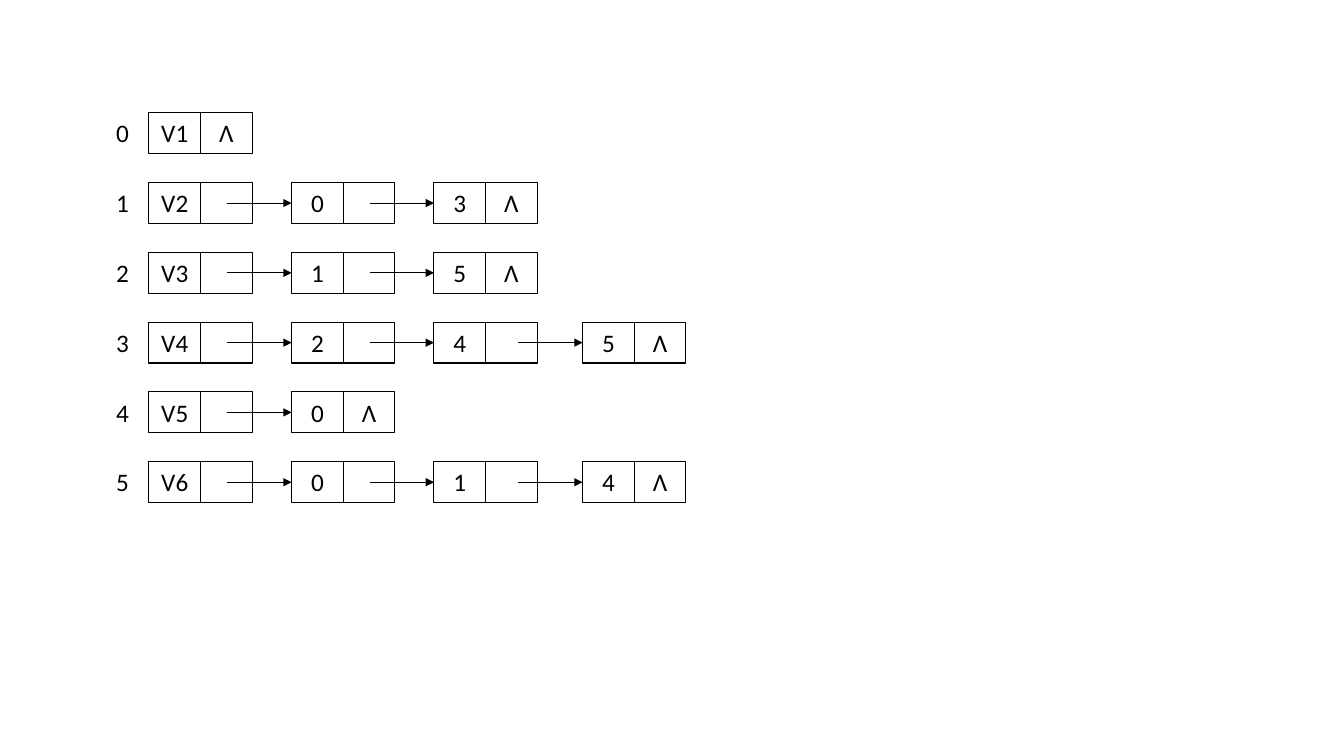
import pptx
import pptx.util
import pptx.dml.color
import pptx.enum.shapes
import pptx.enum.text
import pptx.oxml
import pptx.oxml.ns

Pt = pptx.util.Pt
RGB = pptx.dml.color.RGBColor.from_string

ADJACENCY = [
    ["V1"],
    ["V2", "0", "3"],
    ["V3", "1", "5"],
    ["V4", "2", "4", "5"],
    ["V5", "0"],
    ["V6", "0", "1", "4"],
]
END_MARK = "Λ"

THEME = {
    "font": "Calibri",
    "size": 18,
    "ink": "000000",
    "paper": "FFFFFF",
    "box_line": 0.75,
    "arrow_line": 0.5,
}

SLIDE_WIDTH, SLIDE_HEIGHT = 960, 540
TOP, ROW_STEP = 80.6, 49.85
NODE_LEFTS = [106.4, 208.3, 310, 416.2]
CELL_WIDTH, CELL_HEIGHT = 36.9, 29.2
LABEL_LEFT, LABEL_WIDTH = 74.3, 26.6
ARROW_LENGTH = 46


def add_box(shapes, left, top, width, text, outline):
    box = shapes.add_shape(
        pptx.enum.shapes.MSO_SHAPE.RECTANGLE, Pt(left), Pt(top), Pt(width), Pt(CELL_HEIGHT)
    )
    box.shadow.inherit = False
    box.fill.background()
    box.line.color.rgb = RGB(outline)
    box.line.width = Pt(THEME["box_line"])
    if text:
        frame = box.text_frame
        frame.word_wrap = True
        frame.auto_size = pptx.enum.text.MSO_AUTO_SIZE.SHAPE_TO_FIT_TEXT
        frame.vertical_anchor = pptx.enum.text.MSO_ANCHOR.TOP
        para = frame.paragraphs[0]
        para.alignment = pptx.enum.text.PP_ALIGN.CENTER
        span = para.add_run()
        span.text = text
        span.font.name = THEME["font"]
        span.font.size = Pt(THEME["size"])
        span.font.color.rgb = RGB(THEME["ink"])
    return box


def add_arrow(shapes, target):
    middle = target.top + target.height // 2
    arrow = shapes.add_connector(
        pptx.enum.shapes.MSO_CONNECTOR.STRAIGHT,
        target.left - Pt(ARROW_LENGTH), middle, target.left, middle,
    )
    arrow.end_connect(target, 1)
    arrow.line.color.rgb = RGB(THEME["ink"])
    arrow.line.width = Pt(THEME["arrow_line"])
    head = pptx.oxml.parse_xml(
        "<a:tailEnd %s type='triangle'/>" % pptx.oxml.ns.nsdecls("a")
    )
    arrow.line._get_or_add_ln().append(head)
    effects = pptx.oxml.parse_xml("<a:effectLst %s/>" % pptx.oxml.ns.nsdecls("a"))
    arrow._element.spPr.append(effects)


def add_row(page, index, values):
    top = TOP + index * ROW_STEP
    add_box(page.shapes, LABEL_LEFT, top, LABEL_WIDTH, str(index), THEME["paper"])
    chain = page.shapes.add_group_shape()
    targets = []
    for position, value in enumerate(values):
        left = NODE_LEFTS[position]
        mark = END_MARK if position == len(values) - 1 else ""
        targets.append(add_box(chain.shapes, left, top, CELL_WIDTH, value, THEME["ink"]))
        add_box(chain.shapes, left + CELL_WIDTH, top, CELL_WIDTH, mark, THEME["ink"])
    for target in targets[1:]:
        add_arrow(page.shapes, target)


def main():
    deck = pptx.Presentation()
    deck.slide_width, deck.slide_height = Pt(SLIDE_WIDTH), Pt(SLIDE_HEIGHT)
    page = deck.slides.add_slide(deck.slide_layouts[6])
    for index, values in enumerate(ADJACENCY):
        add_row(page, index, values)
    deck.save("out.pptx")


if __name__ == "__main__":
    main()
